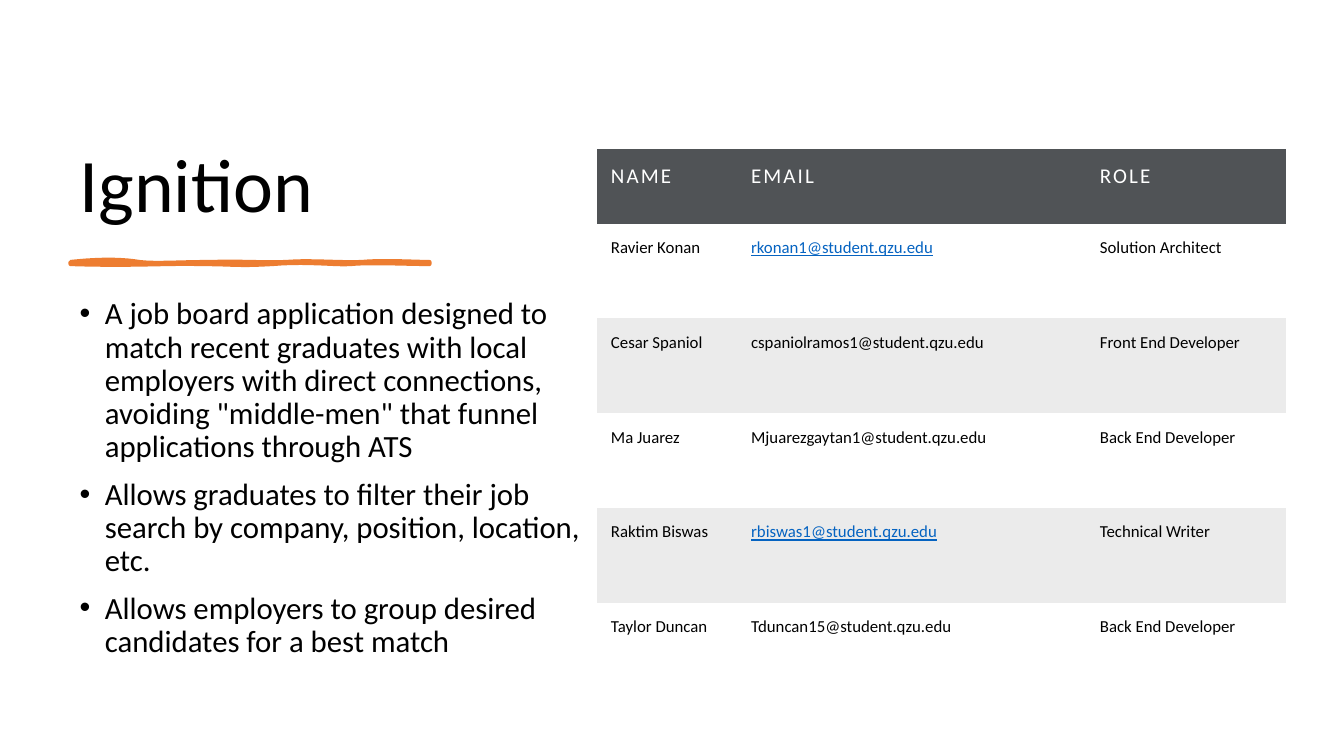
from pptx import Presentation
from pptx.dml.color import RGBColor
from pptx.enum.text import MSO_ANCHOR, MSO_AUTO_SIZE, PP_ALIGN
from pptx.oxml.ns import qn
from pptx.util import Inches, Pt

FONT = "Calibri"
BLACK, WHITE, LINK = "000000", "FFFFFF", "0563C1"
HEAD, BAND, ORANGE = "505356", "EBEBEB", "ED7D31"
PLAIN = "{2D5ABB26-0587-4C30-8999-92F81FD0307C}"
POINTS = [
    'A job board application designed to match recent graduates with local '
    'employers with direct connections, avoiding "middle-men" that funnel '
    'applications through ATS',
    "Allows graduates to filter their job search by company, position, location, etc.",
    "Allows employers to group desired candidates for a best match",
]
TEAM = [
    ("NAME", "EMAIL", "ROLE"),
    ("Ravier Konan", "rkonan1@student.qzu.edu", "Solution Architect"),
    ("Cesar Spaniol", "cspaniolramos1@student.qzu.edu", "Front End Developer"),
    ("Ma Juarez", "Mjuarezgaytan1@student.qzu.edu", "Back End Developer"),
    ("Raktim Biswas", "rbiswas1@student.qzu.edu", "Technical Writer"),
    ("Taylor Duncan", "Tduncan15@student.qzu.edu", "Back End Developer"),
]
LINKS = {"rkonan1@student.qzu.edu", "rbiswas1@student.qzu.edu"}
WAVE = [
    [(0, 0), (0.27, -0.03), (0.51, -0.03), (0.68, 0)],
    [(0.68, 0), (0.85, 0.02), (1.07, 0), (1.39, 0)],
    [(1.39, 0), (1.71, -0.01), (1.9, 0.01), (2.14, 0)],
    [(2.14, 0), (2.38, -0.02), (2.69, 0.01), (2.89, 0)],
    [(2.89, 0), (3.09, -0.02), (3.42, 0), (3.56, 0)],
    [(3.56, 0.02), (3.38, 0.02), (2.94, 0), (2.78, 0.02)],
    [(2.78, 0.02), (2.62, 0.03), (2.34, -0.01), (2, 0.02)],
    [(2, 0.02), (1.65, 0.04), (1.61, 0.02), (1.29, 0.02)],
    [(1.29, 0.02), (0.96, 0.01), (0.62, 0.04), (0, 0.02)],
]


def color(code):
    """Turn a hex string into a colour."""
    return RGBColor.from_string(code)


def apply(item, form):
    """Set each format value on an item."""
    for key, value in form.items():
        setattr(item, key, value)


def write(para, text, size, code, line=False):
    """Add a formatted run to a paragraph and return it."""
    run = para.add_run()
    run.text = text
    apply(run.font, {"name": FONT, "size": Pt(size), "underline": line})
    run.font.color.rgb = color(code)
    return run


def place(item, box):
    """Move a placeholder to a box."""
    names = ("left", "top", "width", "height")
    apply(item, dict(zip(names, map(Inches, box))))


def add_title(slide, box):
    """Fill the title placeholder."""
    title = slide.shapes.title
    place(title, box)
    apply(title.text_frame, {"vertical_anchor": MSO_ANCHOR.BOTTOM,
                             "auto_size": MSO_AUTO_SIZE.NONE, "word_wrap": True})
    para = title.text_frame.paragraphs[0]
    apply(para, {"alignment": PP_ALIGN.LEFT, "line_spacing": 0.9})
    write(para, "Ignition", 54, BLACK)


def add_list(slide, box):
    """Fill the body placeholder with the bullet points."""
    body = slide.placeholders[1]
    place(body, box)
    frame = body.text_frame
    apply(frame, {"auto_size": MSO_AUTO_SIZE.NONE, "word_wrap": True})
    for i, text in enumerate(POINTS):
        para = frame.add_paragraph() if i else frame.paragraphs[0]
        apply(para, {"line_spacing": 0.9, "space_before": Pt(10)})
        props = para._p.get_or_add_pPr()
        props.set("marL", str(Inches(0.25)))
        props.set("indent", str(Inches(-0.25)))
        write(para, text, 22, BLACK)


def curve(ends, t):
    """Return the point of a cubic curve at t."""
    parts = ((1 - t) ** 3, 3 * t * (1 - t) ** 2, 3 * t * t * (1 - t), t ** 3)
    return tuple(sum(p * end[axis] for p, end in zip(parts, ends)) for axis in (0, 1))


def add_stroke(slide, left, top):
    """Draw the wavy brush stroke under the title."""
    dots = [curve(ends, step / 10) for ends in WAVE for step in range(11)]
    dots = [(Inches(left + x), Inches(top + y)) for x, y in dots]
    pen = slide.shapes.build_freeform(*dots[0])
    pen.add_line_segments(dots[1:], close=True)
    stroke = pen.convert_to_shape()
    stroke.shadow.inherit = False
    stroke.fill.solid()
    stroke.fill.fore_color.rgb = color(ORANGE)
    stroke.line.color.rgb = color(ORANGE)
    stroke.line.width = Pt(3)


def fill_cell(cell, text, row):
    """Write and colour one table cell."""
    sides = ("left", "right", "top", "bottom")
    apply(cell, {f"margin_{side}": Inches(0.14) for side in sides})
    para = cell.text_frame.paragraphs[0]
    if row == 0:
        run = write(para, text, 15, WHITE)
        run.font._element.set("spc", "150")
    else:
        link = text in LINKS
        write(para, text, 12, LINK if link else BLACK, link)
    if row % 2:
        cell.fill.background()
    else:
        cell.fill.solid()
        cell.fill.fore_color.rgb = color(BAND if row else HEAD)


def add_team(slide, box):
    """Add the team table."""
    frame = slide.shapes.add_table(len(TEAM), 3, *map(Inches, box))
    table = frame.table
    apply(table, {"first_row": False, "horz_banding": False})
    table._tbl.tblPr.find(qn("a:tableStyleId")).text = PLAIN
    for col, width in zip(table.columns, (1.39, 3.46, 1.99)):
        col.width = Inches(width)
    for i, texts in enumerate(TEAM):
        table.rows[i].height = Inches(0.94 if i else 0.74)
        for j, text in enumerate(texts):
            fill_cell(table.cell(i, j), text, i)


def main():
    """Build and save the slide."""
    deck = Presentation()
    apply(deck, {"slide_width": Inches(13.33), "slide_height": Inches(7.5)})
    slide = deck.slides.add_slide(deck.slide_layouts[1])
    add_title(slide, (0.69, 0.7, 5.27, 1.62))
    add_stroke(slide, 0.7, 2.6)
    add_list(slide, (0.69, 2.91, 5.27, 3.88))
    add_team(slide, (5.92, 1.48, 6.84, 5.43))
    deck.save("out.pptx")


if __name__ == "__main__":
    main()
